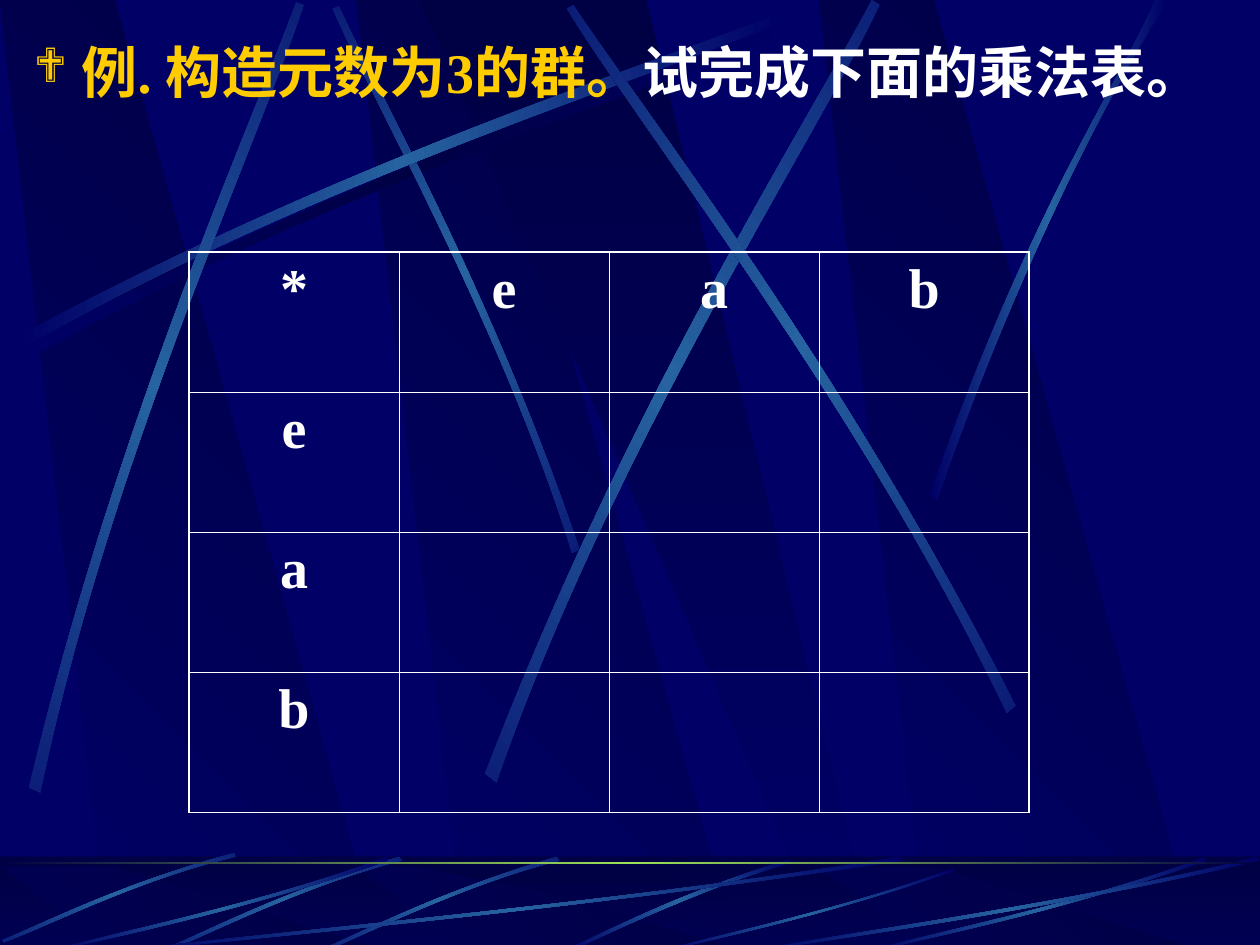
"""Build a slide with an unfinished multiplication table for a group of order 3."""
from math import cos, radians, sin

from pptx import Presentation
from pptx.dml.color import RGBColor
from pptx.enum.shapes import MSO_SHAPE
from pptx.enum.text import PP_ALIGN
from pptx.oxml import parse_xml
from pptx.oxml.ns import nsdecls, qn
from pptx.util import Inches, Pt

COLORS = {"blue": "000066", "navy": "000044", "steel": "2663A0",
          "lime": "9CE157", "gold": "FFCC00", "white": "FFFFFF"}
FONT = "Times New Roman"
LABELS = ["*", "e", "a", "b"]
THIN, THICK = 0.45, 1.08
GLOW = ["blue", "steel", "blue"]
SHADE = ["blue", "navy", "blue"]

LONG_STREAK = [(0.14, 2.67), (2.78, 1.25), (5.18, 0.51), (6.2, 0.1),
               (6.23, 0.16), (5.22, 0.61), (2.48, 1.43), (0.17, 2.77)]
UPPER_STREAKS = [
    (45, [(4.6, 4.36), (3.91, 2.34), (3.02, 0.77), (2.69, 0.05),
          (2.64, 0.07), (2.95, 0.79), (3.98, 2.58), (4.54, 4.39)]),
    (0, LONG_STREAK),
    (311.7, [(0.23, 6.25), (0.93, 3.34), (1.97, 1.05), (2.35, 0.02),
             (2.41, 0.04), (2.07, 1.08), (0.86, 3.68), (0.32, 6.29)]),
    (321.6, [(3.85, 6.14), (4.98, 3.2), (6.38, 1.02), (6.92, 0),
             (6.98, 0.04), (6.49, 1.08), (4.86, 3.55), (3.94, 6.21)]),
    (34.8, [(8.06, 5.6), (6.7, 2.93), (5.16, 0.95), (4.55, 0.04),
            (4.5, 0.07), (5.07, 1.01), (6.85, 3.25), (7.99, 5.66)]),
    (0, [(7.38, 3.93), (8.14, 1.73), (8.88, 0.66), (9.17, 0),
         (9.27, 0), (8.36, 1.45), (7.69, 3.22), (7.44, 3.97)]),
]
SHORT_STREAK = [(1.31, 7.53), (1.62, 7.4), (2.3, 7.05), (3.17, 6.8),
                (3.19, 6.83), (2.4, 7.03), (1.63, 7.43), (1.32, 7.55)]
FLAT_STREAK = [(0.42, 7.54), (0.86, 7.41), (2.06, 7.18), (3.07, 6.8),
               (3.08, 6.83), (1.93, 7.23), (0.88, 7.44), (0.43, 7.55)]


def shift(points, across, down=0):
    """Return the points moved by the given inches."""
    return [(x + across, y + down) for x, y in points]


LOWER_STREAKS = [
    (0, [(6.27, 6.82), (5.37, 7.09), (4.77, 7.42), (4.48, 7.54),
         (4.53, 7.55), (4.9, 7.37), (5.71, 7), (6.28, 6.85)]),
    (314.9, shift(SHORT_STREAK, 1.25)),
    (314.9, SHORT_STREAK),
    (314.9, [(0.02, 7.46), (0.32, 7.34), (0.99, 7), (1.86, 6.77),
             (1.87, 6.8), (1.09, 6.98), (0.34, 7.37), (0.03, 7.48)]),
    (0, [(1, 7.54), (2.02, 7.41), (4.8, 7.18), (7.14, 6.8),
         (7.17, 6.83), (4.49, 7.23), (2.06, 7.44), (1.03, 7.55)]),
    (0, FLAT_STREAK),
    (0, [(5.27, 7.54), (5.65, 7.43), (6.69, 7.22), (7.57, 6.89),
         (7.58, 6.91), (6.58, 7.26), (5.67, 7.45), (5.28, 7.55)]),
    (0, shift(FLAT_STREAK, 6.5)),
    (0, [(6, 7.54), (6.66, 7.41), (8.46, 7.18), (9.98, 6.8),
         (10, 6.83), (8.27, 7.23), (6.69, 7.44), (6.02, 7.55)]),
]


def color(name):
    """Return the named colour."""
    return RGBColor.from_string(COLORS[name])


def paint_gradient(shape, names, angle):
    """Fill a shape with evenly spaced colour stops and no outline."""
    stops = "".join(
        f'<a:gs pos="{100000 * index // (len(names) - 1)}">'
        f'<a:srgbClr val="{COLORS[name]}"/></a:gs>'
        for index, name in enumerate(names))
    gradient = parse_xml(
        f'<a:gradFill {nsdecls("a")} rotWithShape="1"><a:gsLst>{stops}</a:gsLst>'
        f'<a:lin ang="{angle * 60000}" scaled="0"/></a:gradFill>')
    shape.fill.background()
    properties = shape.fill._xPr
    properties.replace(properties.find(qn("a:noFill")), gradient)
    shape.line.fill.background()
    shape.shadow.inherit = False


def add_outline(shapes, points, names, angle):
    """Draw a closed gradient outline through points given in inches."""
    corners = [(Inches(x), Inches(y)) for x, y in points]
    builder = shapes.build_freeform(*corners[0], scale=1.0)
    builder.add_line_segments(corners[1:], close=True)
    outline = builder.convert_to_shape()
    paint_gradient(outline, names, angle)
    return outline


def turn(point, center, degrees):
    """Return a point turned clockwise about a center."""
    angle = radians(degrees)
    x, y = point[0] - center[0], point[1] - center[1]
    return (center[0] + x * cos(angle) - y * sin(angle),
            center[1] + x * sin(angle) + y * cos(angle))


def middle(points):
    """Return the center of the box around the points."""
    return tuple((min(values) + max(values)) / 2 for values in zip(*points))


def bend_edges(outline):
    """Turn the two long edges of an eight-point outline into cubic curves."""
    segments = list(outline._element.iter(qn("a:lnTo")))
    for first in (0, 4):
        bend = parse_xml(f'<a:cubicBezTo {nsdecls("a")}/>')
        segments[first].addprevious(bend)
        for segment in segments[first:first + 3]:
            bend.append(segment[0])
            segment.getparent().remove(segment)


def add_streak(shapes, points, names, rotation):
    """Draw a thin curved streak whose gradient turns with it."""
    pivot = middle(points)
    level = [turn(point, pivot, -rotation) for point in points]
    center = middle(level)
    target = turn(center, pivot, rotation)
    level = shift(level, target[0] - center[0], target[1] - center[1])
    streak = add_outline(shapes, level, names, 0)
    bend_edges(streak)
    streak.rotation = rotation


def add_panels(shapes, top, height):
    """Draw three slanted panels and a wedge across a band."""
    bottom = top + height
    panel = [(0.86, bottom), (3.02, bottom), (0.91, top), (0, top)]
    for left in (2.83, 0, 6.5):
        add_outline(shapes, shift(panel, left), ["blue", "navy"], 315)
    wedge = [(3.33, top), (6.58, bottom), (6.94, bottom), (5.13, top)]
    add_outline(shapes, wedge, ["navy", "blue"], 90)


def add_bar(shapes, top, height, names, angle):
    """Draw a full-width gradient bar."""
    bar = shapes.add_shape(
        MSO_SHAPE.RECTANGLE, 0, Inches(top), Inches(10), Inches(height))
    paint_gradient(bar, names, angle)
    return bar


def add_veil(shapes):
    """Dim the lower band with a half-transparent bar."""
    veil = add_bar(shapes, 6.79, 0.75, ["navy", "navy"], 0)
    veil.fill.solid()
    veil.fill.fore_color.rgb = color("navy")
    shade = veil.fill._xPr.find(qn("a:solidFill"))[0]
    shade.append(parse_xml(f'<a:alpha {nsdecls("a")} val="50000"/>'))


def add_backdrop(slide, master):
    """Draw the panels, streaks and lower band and hand them to the master."""
    master.background.fill.solid()
    master.background.fill.fore_color.rgb = color("blue")
    group = slide.shapes.add_group_shape()
    shapes = group.shapes
    add_panels(shapes, 0, 7.52)
    add_streak(shapes, shift(LONG_STREAK, 0.06, 0.08), SHADE, 0)
    for rotation, points in UPPER_STREAKS:
        add_streak(shapes, points, GLOW, rotation)
    add_bar(shapes, 6.8, 0.75, ["navy", "blue"], 90)
    add_panels(shapes, 6.88, 0.66)
    add_veil(shapes)
    for rotation, points in LOWER_STREAKS:
        add_streak(shapes, points, GLOW, rotation)
    add_bar(shapes, 6.84, 0.02, ["navy", "lime", "navy"], 0)
    master.shapes._spTree.insert(2, group._element)


def add_run(paragraph, text, name):
    """Add a bold run in the slide's text style."""
    run = paragraph.add_run()
    run.text = text
    run.font.name, run.font.size, run.font.bold = FONT, Pt(32), True
    run.font.color.rgb = color(name)


def add_exercise(slide):
    """Add the bulleted exercise statement."""
    box = slide.shapes.add_textbox(Inches(0.17), Inches(0.25), Inches(9.67), Inches(5))
    box.text_frame.word_wrap = True
    paragraph = box.text_frame.paragraphs[0]
    properties = paragraph._p.get_or_add_pPr()
    for name, value in (("marL", Inches(0.38)), ("indent", Inches(-0.38)), ("hangingPunct", 0)):
        properties.set(name, str(value))
    for bullet in (f'<a:buClr {nsdecls("a")}><a:srgbClr val="{COLORS["gold"]}"/></a:buClr>',
                   f'<a:buSzPct {nsdecls("a")} val="85000"/>',
                   f'<a:buFont {nsdecls("a")} typeface="Wingdings" charset="2"/>',
                   f'<a:buChar {nsdecls("a")} char="❖"/>'):
        properties.append(parse_xml(bullet))
    add_run(paragraph, "例. 构造元数为3的群。", "gold")
    add_run(paragraph, "试完成下面的乘法表。", "white")


def add_border(cell, side, width):
    """Give one side of a cell a white line."""
    cell._tc.get_or_add_tcPr().append(parse_xml(
        f'<a:ln{side} {nsdecls("a")} w="{Pt(width)}"><a:solidFill>'
        f'<a:srgbClr val="{COLORS["white"]}"/></a:solidFill></a:ln{side}>'))


def add_multiplication_table(slide):
    """Add the table with labels in its first row and column."""
    size = len(LABELS)
    table = slide.shapes.add_table(
        size, size, Inches(1.5), Inches(2), Inches(6.67), Inches(4.45)).table
    table.first_row = table.horz_banding = False
    last = size - 1
    for row in range(size):
        for column in range(size):
            cell = table.cell(row, column)
            outer = {"L": column == 0, "R": column == last, "T": row == 0, "B": row == last}
            for side, is_outer in outer.items():
                add_border(cell, side, THICK if is_outer else THIN)
            cell.fill.background()
            if row == 0 or column == 0:
                paragraph = cell.text_frame.paragraphs[0]
                paragraph.alignment = PP_ALIGN.CENTER
                add_run(paragraph, LABELS[row + column], "white")


def main():
    """Build and save the presentation."""
    presentation = Presentation()
    presentation.slide_width, presentation.slide_height = Inches(10), Inches(7.5)
    slide = presentation.slides.add_slide(presentation.slide_layouts[6])
    add_backdrop(slide, presentation.slide_master)
    add_exercise(slide)
    add_multiplication_table(slide)
    presentation.save("out.pptx")


if __name__ == "__main__":
    main()
